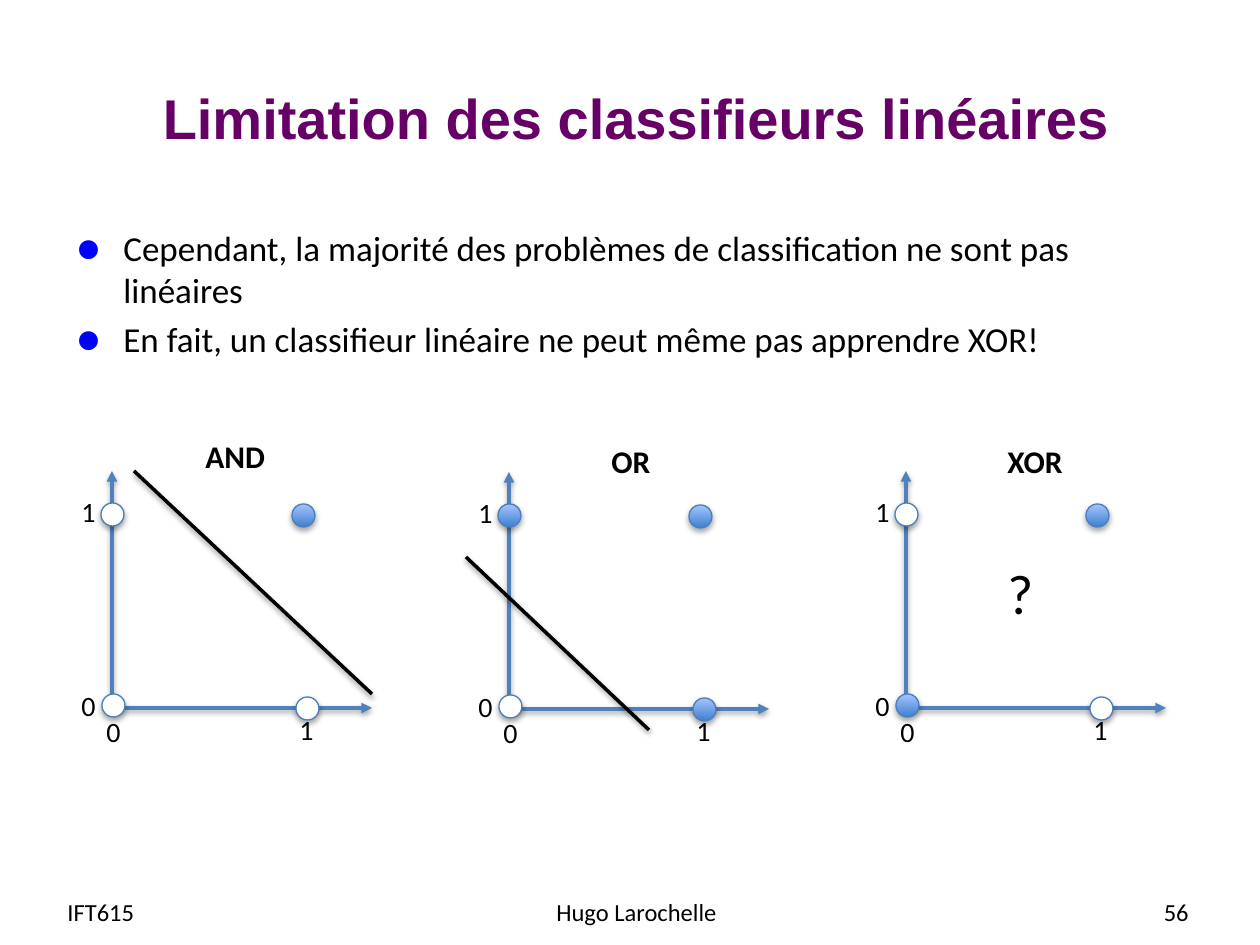
from lxml import etree
from pptx import Presentation
from pptx.dml.color import RGBColor
from pptx.enum.shapes import MSO_CONNECTOR, MSO_SHAPE
from pptx.enum.text import MSO_ANCHOR, MSO_AUTO_SIZE, PP_ALIGN
from pptx.oxml.ns import qn
from pptx.util import Emu, Pt

STRAIGHT = MSO_CONNECTOR.STRAIGHT
OVAL = MSO_SHAPE.OVAL
TOP, MIDDLE = MSO_ANCHOR.TOP, MSO_ANCHOR.MIDDLE
GROW = MSO_AUTO_SIZE.SHAPE_TO_FIT_TEXT
LEFT, CENTER, RIGHT = PP_ALIGN.LEFT, PP_ALIGN.CENTER, PP_ALIGN.RIGHT

PX_PER_INCH = 126
BLACK, WHITE, AXIS, OUTLINE = "000000", "FFFFFF", "4F81BD", "4B7EBC"
GRADIENT = ("3F80CE", "A4C4FF")
PLOT_PITCH = 397
DOT_SIZE = 23

# Dots in the order (0,1), (0,0), (1,1), (1,0), placed as in the first plot
DOTS = [(101, 503), (102, 694), (292, 504), (296, 697)]
TICKS = [("0", 94, 708), ("0", 69, 682), ("1", 69, 488), ("1", 287, 706)]
# Vertical shift and filled dots of each plot
PLOTS = [
    (0, (False, False, True, False)),
    (1, (True, False, True, True)),
    (0, (False, True, True, False)),
]
SEPARATORS = [(134, 471, 372, 694), (466, 557, 649, 730)]
LABELS = [
    ("?", 995, 552, 52, 81, 32, False),
    ("AND", 193, 431, 86, 50, 18, True),
    ("OR", 599, 436, 64, 50, 18, True),
    ("XOR", 995, 436, 82, 50, 18, True),
]
FOOTERS = [
    ("IFT615", 55, 243, LEFT),
    ("Hugo Larochelle", 437, 399, CENTER),
    ("56", 907, 294, RIGHT),
]
BULLETS = [
    "Cependant, la majorité des problèmes de classification ne sont pas linéaires",
    "En fait, un classifieur linéaire ne peut même pas apprendre XOR!",
]


def px(value):
    return Emu(round(value * 914400 / PX_PER_INCH))


def color(value):
    return RGBColor.from_string(value)


def add_shadow(effects, distance, opacity):
    shadow = etree.SubElement(effects, qn("a:outerShdw"), blurRad="40000",
                              dist=str(distance), dir="5400000", rotWithShape="0")
    black = etree.SubElement(shadow, qn("a:srgbClr"), val=BLACK)
    etree.SubElement(black, qn("a:alpha"), val=str(opacity * 1000))


def add_line(shapes, x1, y1, x2, y2, line_color, arrow=None):
    line = shapes.add_connector(STRAIGHT, px(x1), px(y1), px(x2), px(y2))
    line.line.color.rgb = color(line_color)
    line.line.width = Pt(2)
    properties = line._element.spPr
    if arrow:
        etree.SubElement(properties.find(qn("a:ln")), qn(arrow), type="triangle")
    add_shadow(etree.SubElement(properties, qn("a:effectLst")), 20000, 38)


def add_dot(shapes, x, y, filled):
    dot = shapes.add_shape(OVAL, px(x), px(y), px(DOT_SIZE), px(DOT_SIZE))
    if filled:
        dot.fill.gradient()
        dot.fill.gradient_angle = 90
        for stop, value in zip(dot.fill.gradient_stops, GRADIENT):
            stop.color.rgb = color(value)
    else:
        dot.fill.solid()
        dot.fill.fore_color.rgb = color(WHITE)
    dot.line.color.rgb = color(OUTLINE)
    dot.line.width = Pt(0.75)
    dot.shadow.inherit = False
    add_shadow(dot._element.spPr.find(qn("a:effectLst")), 23000, 35)


def format_font(paragraph, size, name="Calibri", value=BLACK, bold=False):
    for run in paragraph.runs:
        run.font.size = Pt(size)
        run.font.name = name
        run.font.color.rgb = color(value)
        run.font.bold = bold


def add_text(shapes, text, x, y, width, height, size, align=LEFT, anchor=TOP,
             wrap=True, **font):
    box = shapes.add_textbox(px(x), px(y), px(width), px(height))
    frame = box.text_frame
    frame.word_wrap = wrap
    frame.vertical_anchor = anchor
    if not wrap:
        frame.auto_size = GROW
    frame.text = text
    for paragraph in frame.paragraphs:
        paragraph.alignment = align
        format_font(paragraph, size, **font)
    return frame


def add_bullet(paragraph):
    properties = paragraph._p.get_or_add_pPr()
    properties.set("marL", str(px(48)))
    properties.set("indent", str(-px(48)))
    bullet_color = etree.SubElement(properties, qn("a:buClr"))
    etree.SubElement(bullet_color, qn("a:srgbClr"), val="0000FF")
    etree.SubElement(properties, qn("a:buSzPct"), val="125000")
    etree.SubElement(properties, qn("a:buFont"), typeface="Arial")
    etree.SubElement(properties, qn("a:buChar"), char="●")


def add_plot(slide, dx, dy, filled_dots):
    shapes = slide.shapes.add_group_shape().shapes
    add_line(shapes, 112 + dx, 471 + dy, 112 + dx, 707 + dy, AXIS, "a:headEnd")
    add_line(shapes, 111 + dx, 708 + dy, 372 + dx, 708 + dy, AXIS, "a:tailEnd")
    for text, x, y in TICKS:
        add_text(shapes, text, x + dx, y + dy, 40, 47, 16, wrap=False)
    for (x, y), filled in zip(DOTS, filled_dots):
        add_dot(shapes, x + dx, y + dy, filled)


def main():
    presentation = Presentation()
    presentation.slide_width, presentation.slide_height = px(1260), px(945)
    slide = presentation.slides.add_slide(presentation.slide_layouts[6])
    shapes = slide.shapes

    # Title and footer
    add_text(shapes, "Limitation des classifieurs linéaires", 38, 38, 1197, 158, 32,
             CENTER, MIDDLE, name="Arial", value="660066", bold=True)
    for text, x, width, align in FOOTERS:
        add_text(shapes, text, x, 887, width, 50, 14, align, MIDDLE)

    # Bullets
    body = add_text(shapes, "\n".join(BULLETS), 63, 220, 1134, 624, 20)
    for index, paragraph in enumerate(body.paragraphs):
        paragraph.space_before = Pt(4 if index else 0)
        add_bullet(paragraph)

    # Plots, separating lines and their labels
    for index, (dy, filled_dots) in enumerate(PLOTS):
        add_plot(slide, index * PLOT_PITCH, dy, filled_dots)
    for ends in SEPARATORS:
        add_line(shapes, *ends, BLACK)
    for text, x, y, width, height, size, bold in LABELS:
        add_text(shapes, text, x, y, width, height, size, wrap=False, bold=bold)

    presentation.save("out.pptx")


if __name__ == "__main__":
    main()
